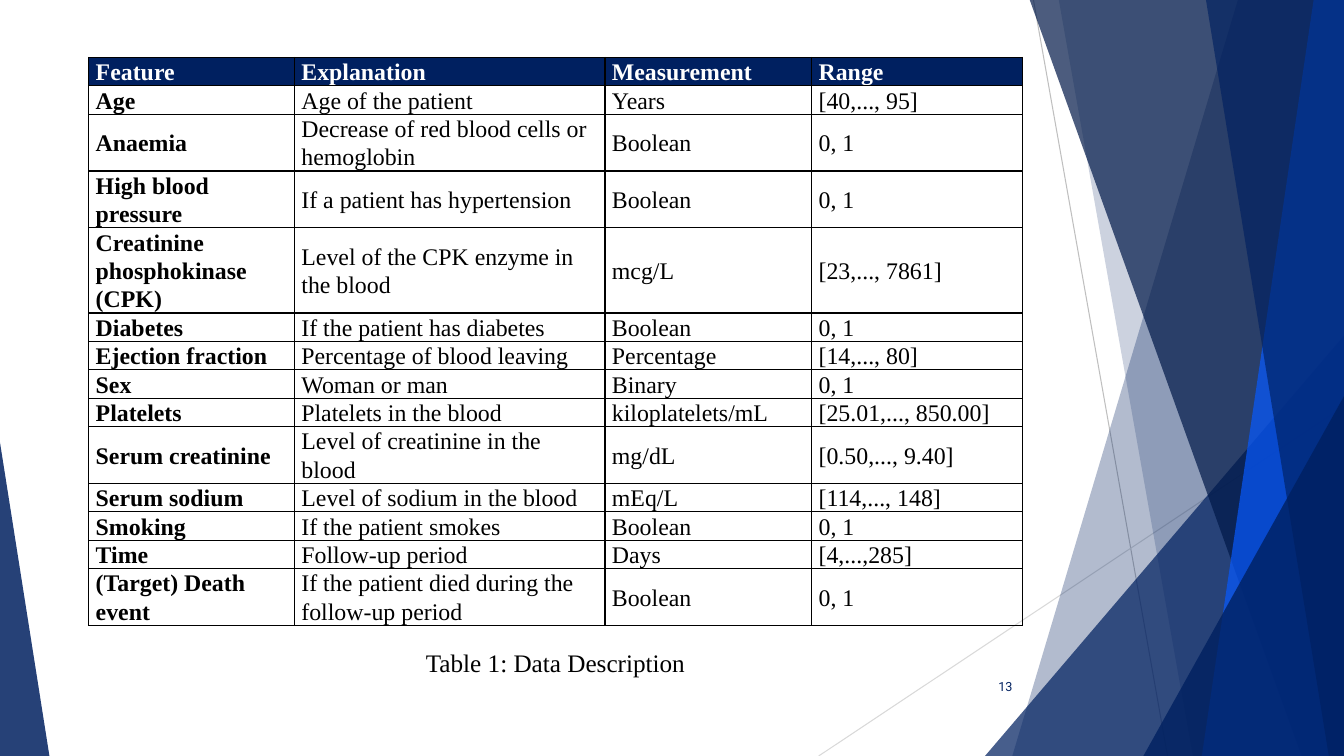
from lxml import etree
from pptx import Presentation
from pptx.dml.color import RGBColor
from pptx.enum.shapes import MSO_CONNECTOR, MSO_SHAPE
from pptx.enum.text import MSO_ANCHOR as ANCHOR, PP_ALIGN as ALIGN
from pptx.oxml.ns import qn
from pptx.util import Inches, Pt

WIDTH, HEIGHT = 13.33, 7.5
NAVY, BLACK, WHITE = "002060", "000000", "FFFFFF"
SERIF = "Times New Roman"
LINE_HEIGHT = 0.28
TABLE_LEFT, TABLE_TOP = 0.88, 0.57
COLUMN_WIDTHS = [2.04, 3.08, 2.05, 2.09]
TABLE_WIDTH = sum(COLUMN_WIDTHS)
CELL_MARGINS = {"margin_left": 0.07, "margin_right": 0.07,
                "margin_top": 0, "margin_bottom": 0}
PARAGRAPH_SPACING = {"line_spacing": 1.07, "space_after": Pt(8)}

FEATURES = [
    (1, "Feature", "Explanation", "Measurement", "Range"),
    (1, "Age", "Age of the patient", "Years", "[40,..., 95]"),
    (2, "Anaemia", "Decrease of red blood cells or hemoglobin", "Boolean", "0, 1"),
    (2, "High blood pressure", "If a patient has hypertension", "Boolean", "0, 1"),
    (3, "Creatinine phosphokinase (CPK)", "Level of the CPK enzyme in the blood",
     "mcg/L", "[23,..., 7861]"),
    (1, "Diabetes", "If the patient has diabetes", "Boolean", "0, 1"),
    (1, "Ejection fraction", "Percentage of blood leaving", "Percentage", "[14,..., 80]"),
    (1, "Sex", "Woman or man", "Binary", "0, 1"),
    (1, "Platelets", "Platelets in the blood", "kiloplatelets/mL", "[25.01,..., 850.00]"),
    (2, "Serum creatinine", "Level of creatinine in the blood", "mg/dL", "[0.50,..., 9.40]"),
    (1, "Serum sodium", "Level of sodium in the blood", "mEq/L", "[114,..., 148]"),
    (1, "Smoking", "If the patient smokes", "Boolean", "0, 1"),
    (1, "Time", "Follow-up period", "Days", "[4,...,285]"),
    (2, "(Target) Death event", "If the patient died during the follow-up period",
     "Boolean", "0, 1"),
]


def rgb(color):
    """Turn a hex string into a colour."""
    return RGBColor.from_string(color)


def set_values(target, values):
    """Set each named attribute of the target."""
    for name, value in values.items():
        setattr(target, name, value)


def fill_shape(shape, color, opacity):
    """Give a shape a see-through fill with no line or shadow."""
    shape.shadow.inherit = False
    shape.line.fill.background()
    shape.fill.solid()
    shape.fill.fore_color.rgb = rgb(color)
    color_element = shape.fill._xPr.find(qn("a:solidFill"))[0]
    etree.SubElement(color_element, qn("a:alpha"), val=str(opacity * 1000))


def add_line(slide, start, end, color):
    """Draw a thin straight line."""
    points = [Inches(value) for value in (*start, *end)]
    line = slide.shapes.add_connector(MSO_CONNECTOR.STRAIGHT, *points)
    line.line.color.rgb = rgb(color)
    line.line.width = Pt(0.75)
    etree.SubElement(line._element.spPr, qn("a:effectLst"))


def add_band(slide, top_x, bottom_x, color, opacity):
    """Draw a full-height band from a slanted edge to the right side."""
    top = -0.01
    corners = [(WIDTH, top), (WIDTH, HEIGHT), (bottom_x, HEIGHT)]
    builder = slide.shapes.build_freeform(Inches(top_x), Inches(top))
    builder.add_line_segments([(Inches(x), Inches(y)) for x, y in corners])
    fill_shape(builder.convert_to_shape(), color, opacity)


def add_corner(slide, left, top, width, apex, opacity):
    """Draw a right triangle that stands on the bottom edge."""
    box = [Inches(value) for value in (left, top, width, HEIGHT - top)]
    shape = slide.shapes.add_shape(MSO_SHAPE.ISOSCELES_TRIANGLE, *box)
    shape.adjustments[0] = apex
    fill_shape(shape, NAVY, opacity)


def add_backdrop(slide):
    """Draw the slanted blue decoration."""
    add_line(slide, (10.25, 0), (11.58, HEIGHT), "BFBFBF")
    add_line(slide, (WIDTH, 4.03), (8.12, HEIGHT), "D9D9D9")
    add_band(slide, 12.28, 10.04, NAVY, 30)
    add_band(slide, 10.5, 11.83, NAVY, 20)
    add_corner(slide, 9.77, 3.33, 3.56, 1, 72)
    add_band(slide, 10.21, 12.91, "001848", 70)
    add_band(slide, 13.03, 11.92, "0759FF", 70)
    add_band(slide, 11.96, 13.18, NAVY, 65)
    add_corner(slide, 11.34, 3.93, 1.99, 1, 80)
    add_corner(slide, 0, 4.39, 0.49, 0, 85)


def write_text(frame, text, font, size, color, bold=False, **paragraph_format):
    """Write one formatted paragraph into a text frame."""
    paragraph = frame.paragraphs[0]
    set_values(paragraph, paragraph_format)
    run = paragraph.add_run()
    run.text = text
    set_values(run.font, {"name": font, "size": Pt(size), "bold": bold})
    run.font.color.rgb = rgb(color)


def add_borders(cell):
    """Draw a black line on all four sides of a cell."""
    properties = cell._tc.get_or_add_tcPr()
    for side in ("lnL", "lnR", "lnT", "lnB"):
        border = etree.SubElement(properties, qn(f"a:{side}"), w=str(Pt(1)))
        fill = etree.SubElement(border, qn("a:solidFill"))
        etree.SubElement(fill, qn("a:srgbClr"), val=BLACK)


def format_cell(cell, text, is_header, bold):
    """Write and style one table cell."""
    set_values(cell, {name: Inches(value) for name, value in CELL_MARGINS.items()})
    cell.vertical_anchor = ANCHOR.MIDDLE
    add_borders(cell)
    if is_header:
        cell.fill.solid()
        cell.fill.fore_color.rgb = rgb(NAVY)
    else:
        cell.fill.background()
    write_text(cell.text_frame, text, SERIF, 17, WHITE if is_header else BLACK,
               bold, **PARAGRAPH_SPACING)


def add_feature_table(slide):
    """Add the table of features, with rows as high as their text lines."""
    height = LINE_HEIGHT * sum(row[0] for row in FEATURES)
    box = [Inches(value) for value in (TABLE_LEFT, TABLE_TOP, TABLE_WIDTH, height)]
    table = slide.shapes.add_table(len(FEATURES), len(COLUMN_WIDTHS), *box).table
    set_values(table, {"first_row": False, "horz_banding": False})
    for column, width in zip(table.columns, COLUMN_WIDTHS):
        column.width = Inches(width)
    for row_index, (lines, *texts) in enumerate(FEATURES):
        table.rows[row_index].height = Inches(LINE_HEIGHT * lines)
        for column_index, text in enumerate(texts):
            is_header = row_index == 0
            format_cell(table.cell(row_index, column_index), text,
                        is_header, is_header or column_index == 0)


def add_text(slide, box, text, font, size, color, anchor=ANCHOR.TOP, **paragraph_format):
    """Add a wrapping text box with one paragraph."""
    frame = slide.shapes.add_textbox(*[Inches(value) for value in box]).text_frame
    set_values(frame, {"word_wrap": True, "vertical_anchor": anchor})
    write_text(frame, text, font, size, color, **paragraph_format)


def main():
    """Build and save the slide."""
    presentation = Presentation()
    set_values(presentation, {"slide_width": Inches(WIDTH), "slide_height": Inches(HEIGHT)})
    slide = presentation.slides.add_slide(presentation.slide_layouts[6])
    add_backdrop(slide)
    add_feature_table(slide)
    add_text(slide, (TABLE_LEFT, 6.35, TABLE_WIDTH, 0.41), "Table 1: Data Description",
             SERIF, 18, BLACK, alignment=ALIGN.CENTER, **PARAGRAPH_SPACING)
    add_text(slide, (9.39, 6.61, 0.75, 0.4), "13", "Roboto", 9, NAVY,
             ANCHOR.MIDDLE, alignment=ALIGN.RIGHT)
    presentation.save("out.pptx")


if __name__ == "__main__":
    main()
